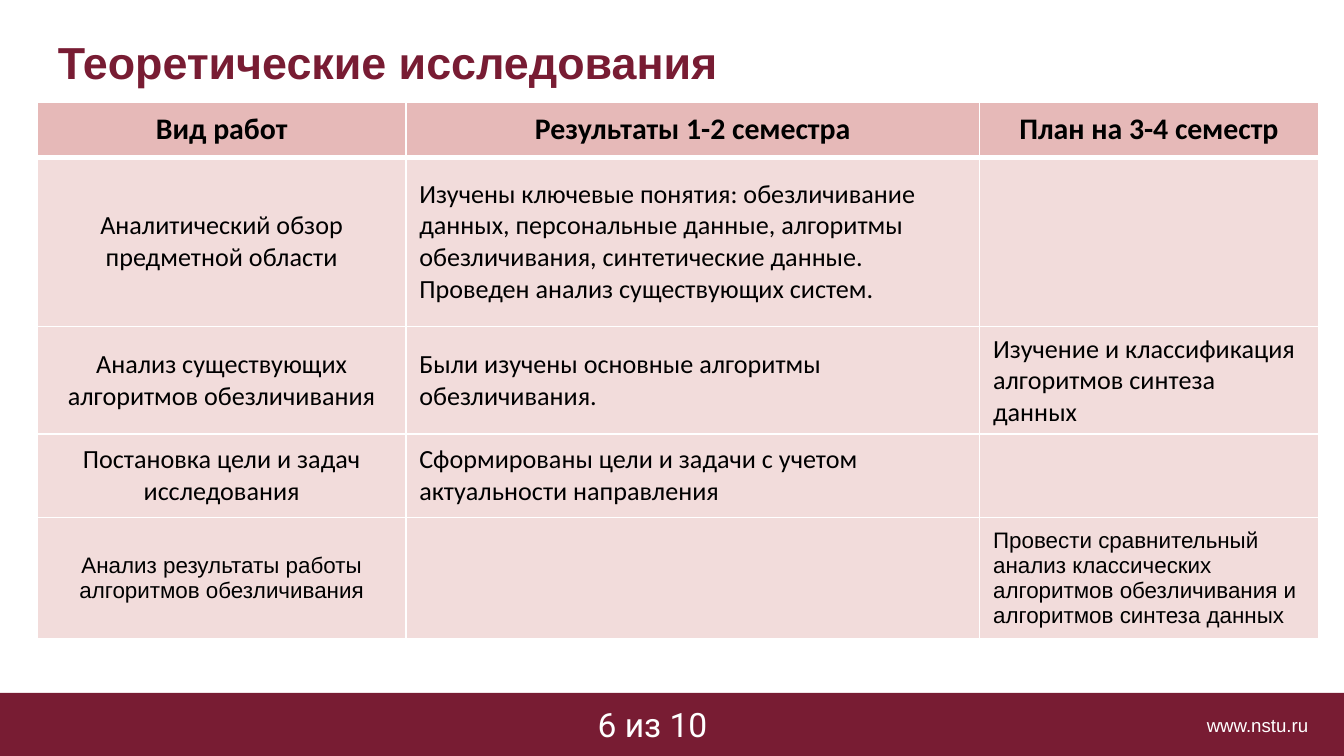
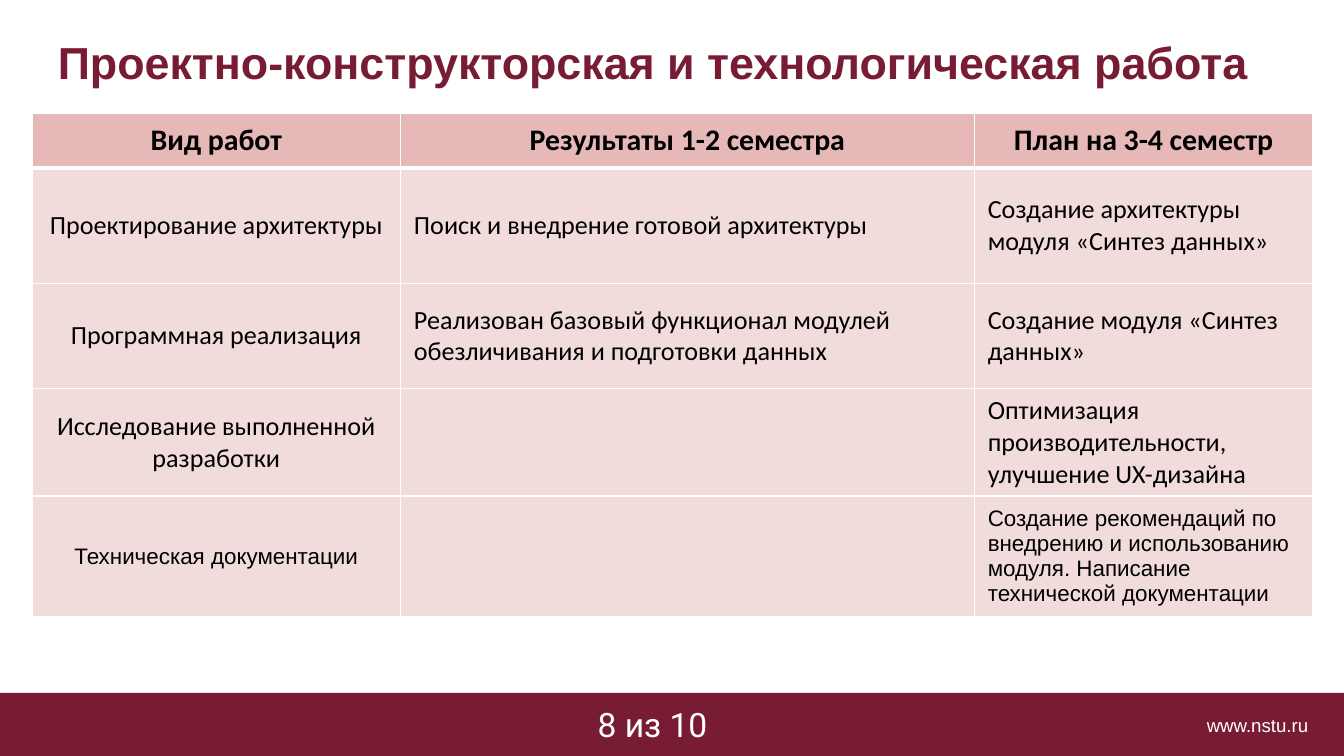
"""Two slides of a thesis report: work tables under a shared title and footer."""
from lxml import etree
from pptx import Presentation
from pptx.dml.color import RGBColor
from pptx.enum.shapes import MSO_SHAPE
from pptx.enum.text import MSO_ANCHOR, PP_ALIGN
from pptx.oxml.ns import qn
from pptx.util import Inches, Pt

LEFT, MID = PP_ALIGN.LEFT, PP_ALIGN.CENTER
CENTER = MSO_ANCHOR.MIDDLE
RECT = MSO_SHAPE.RECTANGLE

WIDE = 10
TALL = WIDE * 9 / 16
BAND = 0.47
COLS = (2.74, 4.27, 2.52)
TITLE_ONLY = 5

HEX = {"wine": "781C33", "head": "E6B9B8", "body": "F2DCDB",
       "white": "FFFFFF", "black": "000000"}

HEAD = ("Вид работ", "Результаты 1-2 семестра", "План на 3-4 семестр")
SITE = "www.nstu.ru"

PAGES = [
    {"title": "Теоретические исследования",
     "page": "6 из 10",
     "width": 9.57,
     "spot": (0.28, 0.76),
     "rows": (0.41, 1.26, 0.78, 0.62, 0.87),
     "work": [
         ("Аналитический обзор предметной области",
          "Изучены ключевые понятия: обезличивание данных, персональные данные, "
          "алгоритмы обезличивания, синтетические данные. "
          "Проведен анализ существующих систем.", ""),
         ("Анализ существующих алгоритмов обезличивания",
          "Были изучены основные алгоритмы обезличивания.",
          "Изучение и классификация алгоритмов синтеза данных"),
         ("Постановка цели и задач исследования",
          "Сформированы цели и задачи с учетом актуальности направления", ""),
         ("Анализ результаты работы алгоритмов обезличивания", "",
          "Провести сравнительный анализ классических алгоритмов "
          "обезличивания и алгоритмов синтеза данных"),
     ]},
    {"title": "Проектно-конструкторская и технологическая работа",
     "page": "8 из 10",
     "width": 9.13,
     "spot": (0.24, 0.84),
     "rows": (0.41, 0.86, 0.78, 0.62, 0.87),
     "work": [
         ("Проектирование архитектуры",
          "Поиск и внедрение готовой архитектуры",
          "Создание архитектуры модуля «Синтез данных»"),
         ("Программная реализация",
          "Реализован базовый функционал модулей обезличивания "
          "и подготовки данных",
          "Создание модуля «Синтез данных»"),
         ("Исследование выполненной разработки", "",
          "Оптимизация производительности, улучшение UX-дизайна"),
         ("Техническая документации", "",
          "Создание рекомендаций по внедрению и использованию модуля. "
          "Написание технической документации"),
     ]},
]


def color(name):
    return RGBColor.from_string(HEX[name])


def write(frame, text, face, size, tint, bold=False, align=LEFT):
    para = frame.paragraphs[0]
    para.alignment = align
    run = para.add_run()
    run.text = text
    font = run.font
    font.name, font.size, font.bold = face, Pt(size), bold
    font.color.rgb = color(tint)


def add_text(slide, box, text, face, size, align=LEFT, bare=False):
    frame = slide.shapes.add_textbox(*map(Inches, box)).text_frame
    frame.word_wrap = False
    if bare:
        frame.margin_left = frame.margin_right = 0
        frame.margin_top = frame.margin_bottom = 0
    write(frame, text, face, size, "white", align=align)


def add_frame(slide, page):
    band = slide.shapes.add_shape(
        RECT, 0, Inches(TALL - BAND), Inches(WIDE), Inches(BAND))
    band.shadow.inherit = False
    band.fill.solid()
    band.fill.fore_color.rgb = color("wine")
    band.line.fill.background()
    add_text(slide, (8.98, 5.31, 0.94, 0.16), SITE, "Arial", 10, bare=True)
    add_text(slide, (4.34, 5.19, 1.03, 0.4), page, "Roboto", 18, MID)


def add_title(slide, text, width):
    title = slide.shapes.title
    title.left, title.top = Inches(0.43), Inches(0.21)
    title.width, title.height = Inches(width), Inches(0.5)
    frame = title.text_frame
    frame.margin_left = 0
    frame.word_wrap = True
    frame.vertical_anchor = CENTER
    write(frame, text, "Arial", 24, "wine", True)


def edge(cell, side, width):
    props = cell._tc.get_or_add_tcPr()
    line = etree.SubElement(props, qn("a:ln" + side), w=str(Pt(width)))
    fill = etree.SubElement(line, qn("a:solidFill"))
    etree.SubElement(fill, qn("a:srgbClr"), val=HEX["white"])


def add_table(slide, spot, rows, work):
    grid = [HEAD, *work]
    box = (*spot, sum(COLS), sum(rows))
    table = slide.shapes.add_table(
        len(grid), len(COLS), *map(Inches, box)).table
    for col, width in zip(table.columns, COLS):
        col.width = Inches(width)
    for row, height in zip(table.rows, rows):
        row.height = Inches(height)
    for r, line in enumerate(grid):
        top = r == 0
        face = "Arial" if r == len(work) else "Calibri"
        size = 16 if top else 12 if r == len(work) else 14
        for c, text in enumerate(line):
            cell = table.cell(r, c)
            cell.vertical_anchor = CENTER
            for side in "LRTB":
                thick = (r, side) in ((0, "B"), (1, "T"))
                edge(cell, side, 3 if thick else 1)
            cell.fill.solid()
            cell.fill.fore_color.rgb = color("head" if top else "body")
            if text:
                align = MID if top or c == 0 else LEFT
                write(cell.text_frame, text, face, size, "black", top, align)


def main():
    deck = Presentation()
    deck.slide_width, deck.slide_height = Inches(WIDE), Inches(TALL)
    for item in PAGES:
        slide = deck.slides.add_slide(deck.slide_layouts[TITLE_ONLY])
        add_frame(slide, item["page"])
        add_title(slide, item["title"], item["width"])
        add_table(slide, item["spot"], item["rows"], item["work"])
    deck.save("out.pptx")


if __name__ == "__main__":
    main()
